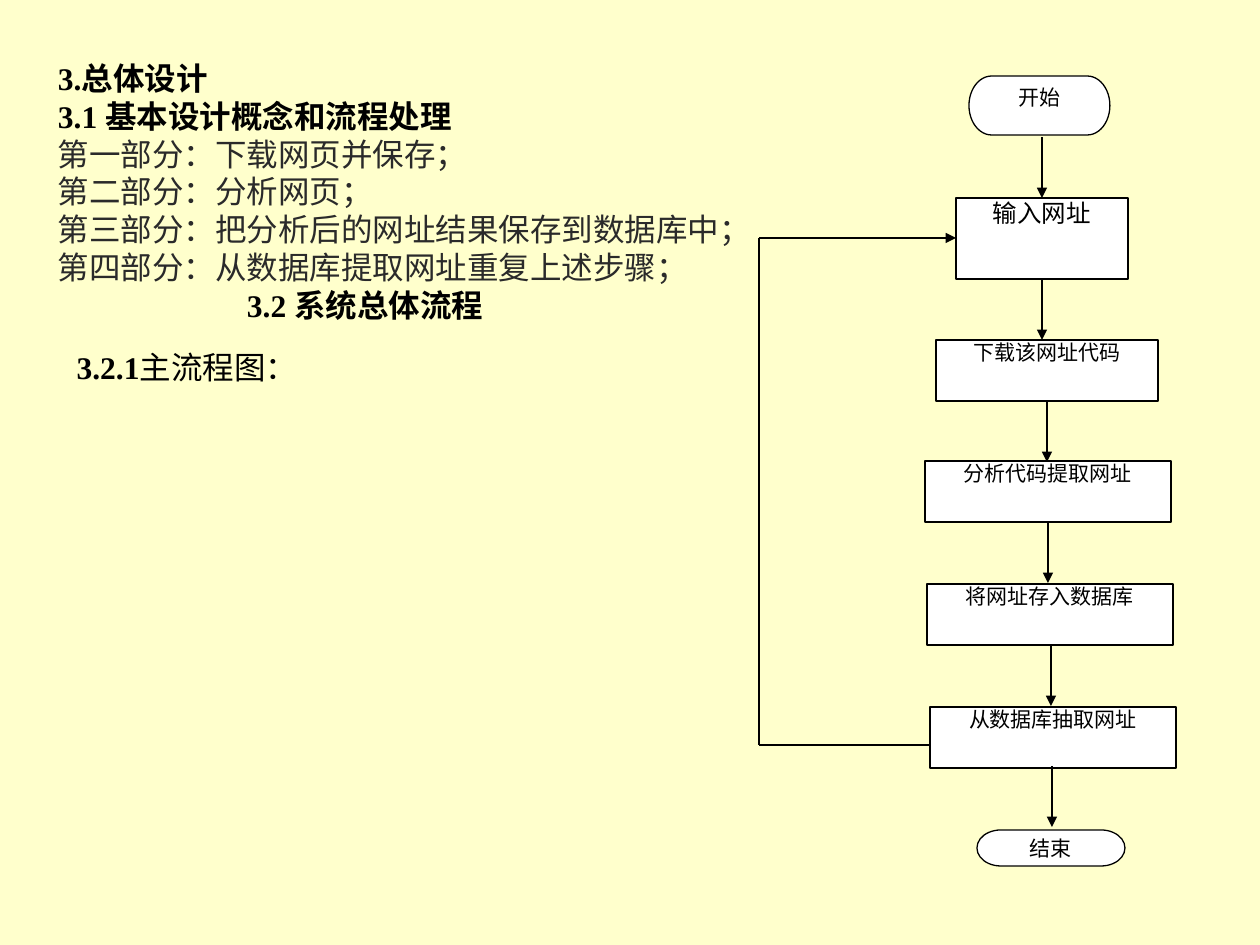
from lxml.etree import SubElement
from pptx import Presentation
from pptx.dml.color import RGBColor
from pptx.enum.lang import MSO_LANGUAGE_ID as LANG
from pptx.enum.shapes import MSO_CONNECTOR, MSO_SHAPE
from pptx.enum.text import MSO_ANCHOR, MSO_AUTO_SIZE, PP_ALIGN
from pptx.oxml.ns import qn
from pptx.util import Pt

PX = 914400 / 126
COLORS = {"bg": "FFFFCC", "box": "FFFFFF", "ink": "000000", "body": "2A2A2A"}
SERIF, SANS, CJK = "Times New Roman", "Cabin", "Noto Sans CJK SC"


def emu(*lengths):
    return [round(n * PX) for n in lengths]


def add_run(p, text, size, font=SERIF, color="ink", bold=False):
    r = p.add_run()
    r.text = text
    f = r.font
    f.size, f.name, f.bold = Pt(size), font, bold
    f.color.rgb = RGBColor.from_string(COLORS[color])
    f.language_id = LANG.SIMPLIFIED_CHINESE
    SubElement(r._r.get_or_add_rPr(), qn("a:ea"), typeface=CJK)


prs = Presentation()
prs.slide_width, prs.slide_height = emu(1260, 945)
s = prs.slides.add_slide(prs.slide_layouts[1])
s.background.fill.solid()
s.background.fill.fore_color.rgb = RGBColor.from_string(COLORS["bg"])

# Headings and the list of parts; each line is (indent, runs)
heading = {"bold": True}
cjk_heading = {"bold": True, "font": CJK}
part = {"font": SANS, "color": "body"}
lines = [
    (0, [("3.总体设计", heading)]),
    (0, [("3.1 ", heading), ("基本设计概念和流程处理", cjk_heading)]),
    (0, [("第一部分：下载网页并保存；", part)]),
    (0, [("第二部分：分析网页；", part)]),
    (0, [("第三部分：把分析后的网址结果保存到数据库中；", part)]),
    (0, [("第四部分：从数据库提取网址重复上述步骤；", part)]),
    (189, [("3.2 ", heading), ("系统总体流程", cjk_heading)]),
]
body = s.placeholders[1]
body.left, body.top, body.width, body.height = emu(45, 34, 718, 353)
tf = body.text_frame
tf.word_wrap, tf.auto_size = True, MSO_AUTO_SIZE.NONE
tf.vertical_anchor = MSO_ANCHOR.TOP
tf.margin_left, tf.margin_top, tf.margin_right, tf.margin_bottom = emu(13, 25, 0, 23)
for i, (indent, runs) in enumerate(lines):
    p = tf.add_paragraph() if i else tf.paragraphs[0]
    p.space_before = Pt(0)
    pPr = p._p.get_or_add_pPr()
    pPr.set("marL", str(emu(indent)[0]))
    pPr.set("indent", "0")
    SubElement(pPr, qn("a:buNone"))
    for text, style in runs:
        add_run(p, text, 18, **style)

title = s.shapes.title
title.left, title.top, title.width, title.height = emu(64, 342, 1260, 50)
tf = title.text_frame
tf.word_wrap, tf.auto_size = True, MSO_AUTO_SIZE.NONE
tf.vertical_anchor = MSO_ANCHOR.MIDDLE
p = tf.paragraphs[0]
p.alignment = PP_ALIGN.LEFT
add_run(p, "3.2.1", 18, bold=True)
add_run(p, "主流程图：", 18)

# Flowchart steps: text, left, top, width, height, text size
TERMINATOR, PROCESS = MSO_SHAPE.FLOWCHART_TERMINATOR, MSO_SHAPE.FLOWCHART_PROCESS
steps = [
    (TERMINATOR, "开始", 969, 76, 141, 59, 12),
    (PROCESS, "输入网址", 956, 198, 172, 81, 14),
    (PROCESS, "下载该网址代码", 936, 340, 222, 61, 12),
    (PROCESS, "分析代码提取网址", 925, 461, 246, 61, 12),
    (PROCESS, "将网址存入数据库", 927, 584, 246, 61, 12),
    (PROCESS, "从数据库抽取网址", 930, 707, 246, 61, 12),
    (TERMINATOR, "结束", 977, 830, 148, 36, 12),
]
for kind, text, x, y, w, h, size in steps:
    sp = s.shapes.add_shape(kind, *emu(x, y, w, h))
    sp.shadow.inherit = False
    sp.fill.solid()
    sp.fill.fore_color.rgb = RGBColor.from_string(COLORS["box"])
    sp.line.color.rgb = RGBColor.from_string(COLORS["ink"])
    sp.line.width = Pt(0.75)
    tf = sp.text_frame
    tf.word_wrap = True
    tf.vertical_anchor = MSO_ANCHOR.TOP
    tf.margin_left = tf.margin_top = tf.margin_right = tf.margin_bottom = 0
    p = tf.paragraphs[0]
    p.alignment = PP_ALIGN.CENTER
    add_run(p, text, size)

# Downward arrows of equal length, then the loop back to the input step
ARROW = 61
down = [(1042, 137), (1042, 279), (1047, 401), (1048, 522), (1051, 645), (1052, 766)]
links = [(x, y, x, y + ARROW, True) for x, y in down]
links += [
    (759, 745, 931, 745, False),
    (759, 238, 759, 745, False),
    (759, 238, 956, 238, True),
]
for x1, y1, x2, y2, has_head in links:
    line = s.shapes.add_connector(MSO_CONNECTOR.STRAIGHT, *emu(x1, y1, x2, y2))
    line.line.color.rgb = RGBColor.from_string(COLORS["ink"])
    line.line.width = Pt(0.75)
    if has_head:
        SubElement(line.line._get_or_add_ln(), qn("a:tailEnd"), type="triangle")
    SubElement(line._element.spPr, qn("a:effectLst"))

prs.save("out.pptx")
